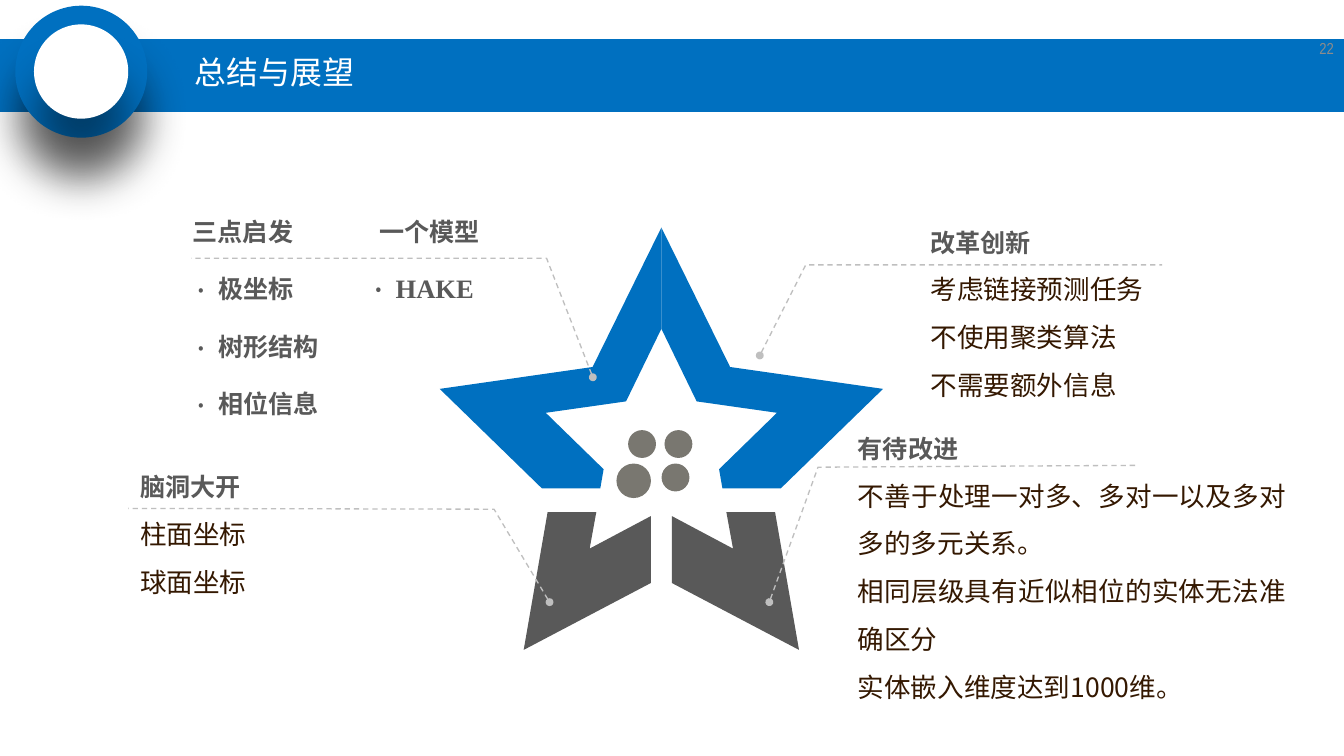
from lxml.etree import SubElement
from pptx import Presentation
from pptx.dml.color import RGBColor
from pptx.enum.dml import MSO_LINE
from pptx.enum.shapes import MSO_SHAPE
from pptx.enum.text import MSO_ANCHOR, MSO_AUTO_SIZE, PP_ALIGN
from pptx.oxml.ns import qn
from pptx.util import Pt

BLUE = RGBColor(0x00, 0x70, 0xC0)
WHITE = RGBColor(0xFF, 0xFF, 0xFF)
DARK_GRAY = RGBColor(0x59, 0x59, 0x59)
WARM_GRAY = RGBColor(0x79, 0x77, 0x70)
LINE_GRAY = RGBColor(0xBF, 0xBF, 0xBF)
NUMBER_GRAY = RGBColor(0x8C, 0x8C, 0x8C)
BROWN = RGBColor(0x34, 0x18, 0x01)

STAR_CENTER = 498.25
UPPER_ARM = [(0, 171.4), (51.8, 276.5), (167, 293), (90, 367.9), (46, 367.9),
             (43.5, 353.5), (87.1, 311), (26.6, 302.4), (0, 247.7)]
LOWER_LEG = [(7.9, 388.8), (7.9, 439.2), (103.7, 489.6), (85.7, 385.9),
             (49, 385.9), (54, 413.3)]
STAR_DOTS = [(473.2, 324, 21), (500.6, 324, 21), (498.4, 349.2, 21), (464.4, 349.2, 26)]
LEADERS = [
    [(446.6, 284.2), (411.8, 194.6), (144, 194.6)],
    [(414, 453.6), (372.2, 383.6), (96.5, 383)],
    [(572.4, 267.8), (607, 199.6), (875.5, 199.6)],
    [(579.6, 453.6), (616.3, 352), (857.5, 350.6)],
]
NOTES = [
    (2, (97.9, 338.4, 190.8, 109.4), ["脑洞大开", "柱面坐标", "球面坐标"]),
    (3, (693.4, 154.1, 190.8, 151.2),
     ["改革创新", "考虑链接预测任务", "不使用聚类算法", "不需要额外信息"]),
    (4, (638.6, 309.6, 337.7, 223),
     ["有待改进", "不善于处理一对多、多对一以及多对多的多元关系。",
      "相同层级具有近似相位的实体无法准确区分", "实体嵌入维度达到1000维。"]),
]


class SlideBuilder:
    heading_font = "Arial Narrow"
    body_font = "Noto Sans CJK SC"
    bullet_font = "Noto Sans CJK JP"
    latin_font = "Times New Roman"

    def __init__(self, page):
        self.page = page

    def paint(self, shape, color):
        shape.shadow.inherit = False
        shape.fill.solid()
        shape.fill.fore_color.rgb = color
        shape.line.fill.background()

    def preset(self, kind, left, top, width, height, color):
        shape = self.page.shapes.add_shape(kind, Pt(left), Pt(top), Pt(width), Pt(height))
        self.paint(shape, color)
        return shape

    def circle(self, left, top, size, color):
        return self.preset(MSO_SHAPE.OVAL, left, top, size, size, color)

    def cast_shadow(self, shape):
        effects = shape.element.spPr.find(qn("a:effectLst"))
        shadow = SubElement(effects, qn("a:outerShdw"), blurRad=str(Pt(33)),
                            dist=str(Pt(33)), dir="5400000", algn="t", rotWithShape="0")
        color = SubElement(shadow, qn("a:srgbClr"), val="000000")
        SubElement(color, qn("a:alpha"), val="43000")

    def outline(self, points, close):
        corners = [(Pt(x), Pt(y)) for x, y in points]
        builder = self.page.shapes.build_freeform(*corners[0])
        builder.add_line_segments(corners[1:], close=close)
        return builder.convert_to_shape()

    def star_pair(self, half, color):
        for side in (1, -1):
            points = [(STAR_CENTER + side * x, y) for x, y in half]
            self.paint(self.outline(points, True), color)

    def leader(self, points):
        shape = self.outline(points, False)
        shape.shadow.inherit = False
        shape.fill.background()
        shape.line.color.rgb = LINE_GRAY
        shape.line.width = Pt(1)
        shape.line.dash_style = MSO_LINE.DASH
        SubElement(shape.line._get_or_add_ln(), qn("a:headEnd"), type="oval")

    def place(self, box, frame, anchor):
        box.left, box.top, box.width, box.height = map(Pt, frame)
        text_frame = box.text_frame
        text_frame.word_wrap = True
        text_frame.auto_size = MSO_AUTO_SIZE.NONE
        text_frame.vertical_anchor = anchor
        text_frame.margin_left = text_frame.margin_right = Pt(7.6)
        text_frame.margin_top = text_frame.margin_bottom = Pt(3.6)

    def placeholder(self, index, frame, anchor=MSO_ANCHOR.TOP):
        box = self.page.placeholders[index]
        self.place(box, frame, anchor)
        box.element.getparent().append(box.element)
        return box

    def textbox(self, frame, anchor=MSO_ANCHOR.TOP):
        box = self.page.shapes.add_textbox(*map(Pt, frame))
        self.place(box, frame, anchor)
        return box

    def style(self, para, font, size, color, bold=False, align=PP_ALIGN.JUSTIFY, spacing=None):
        para.alignment = align
        para.space_before = Pt(0)
        if spacing is not None:
            para.line_spacing = spacing
        for span in para.runs:
            span.font.size = Pt(size)
            span.font.bold = bold
            span.font.color.rgb = color
            span.font.name = font
            SubElement(span._r.get_or_add_rPr(), qn("a:ea"), typeface=self.body_font)

    def indent(self, para, margin, bullet=False):
        properties = para._p.get_or_add_pPr()
        properties.set("marL", str(Pt(margin)))
        properties.set("indent", str(-Pt(margin) if bullet else 0))
        if bullet:
            SubElement(properties, qn("a:buSzPct"), val="127000")
            SubElement(properties, qn("a:buFont"), typeface=self.bullet_font)
            SubElement(properties, qn("a:buChar"), char="·")
        else:
            SubElement(properties, qn("a:buNone"))

    def note(self, box, lines, bulleted=False, heading_margin=0, font=None, size=18.9):
        box.text_frame.text = "\n".join(lines)
        heading, *items = box.text_frame.paragraphs
        self.indent(heading, heading_margin)
        self.style(heading, self.heading_font, 18.9, DARK_GRAY, True, spacing=Pt(36))
        for para in items:
            self.indent(para, 19.5 if bulleted else 0, bulleted)
            if bulleted:
                self.style(para, font or self.heading_font, size, DARK_GRAY, True,
                           spacing=Pt(43.2))
            else:
                self.style(para, self.body_font, 20, BROWN, spacing=Pt(36))

    def label(self, box, text, size, color, align, spacing):
        box.text_frame.text = text
        self.style(box.text_frame.paragraphs[0], self.heading_font, size, color,
                   align=align, spacing=spacing)


def main():
    deck = Presentation()
    deck.slide_width, deck.slide_height = Pt(1012.5), Pt(569.5)
    builder = SlideBuilder(deck.slides.add_slide(deck.slide_layouts[4]))

    builder.preset(MSO_SHAPE.RECTANGLE, 0, 29.6, 1012.5, 54.7, BLUE)
    for left, top, size, color in [(11.5, 4.3, 99.4, BLUE), (25.6, 18.4, 71, WHITE)]:
        builder.cast_shadow(builder.circle(left, top, size, color))

    builder.star_pair(LOWER_LEG, DARK_GRAY)
    builder.star_pair(UPPER_ARM, BLUE)
    for left, top, size in STAR_DOTS:
        builder.circle(left, top, size, WARM_GRAY)
    for points in LEADERS:
        builder.leader(points)

    title = builder.placeholder(0, (139, 36, 250, 39.6), MSO_ANCHOR.MIDDLE)
    builder.label(title, "总结与展望", 24, WHITE, PP_ALIGN.LEFT, 0.9)

    insights = builder.placeholder(1, (137.5, 146.2, 130, 172.8))
    builder.note(insights, ["三点启发", "极坐标", "树形结构", "相位信息"], bulleted=True)
    model = builder.textbox((271, 146.2, 123.6, 86.4))
    builder.note(model, ["一个模型", "HAKE"], bulleted=True, heading_margin=7,
                 font=builder.latin_font, size=20)
    for index, frame, lines in NOTES:
        builder.note(builder.placeholder(index, frame), lines)

    number = builder.textbox((963.4, 20.9, 49.1, 30.2), MSO_ANCHOR.MIDDLE)
    builder.label(number, "22", 12, NUMBER_GRAY, PP_ALIGN.RIGHT, 1.0)

    deck.save("out.pptx")


if __name__ == "__main__":
    main()
